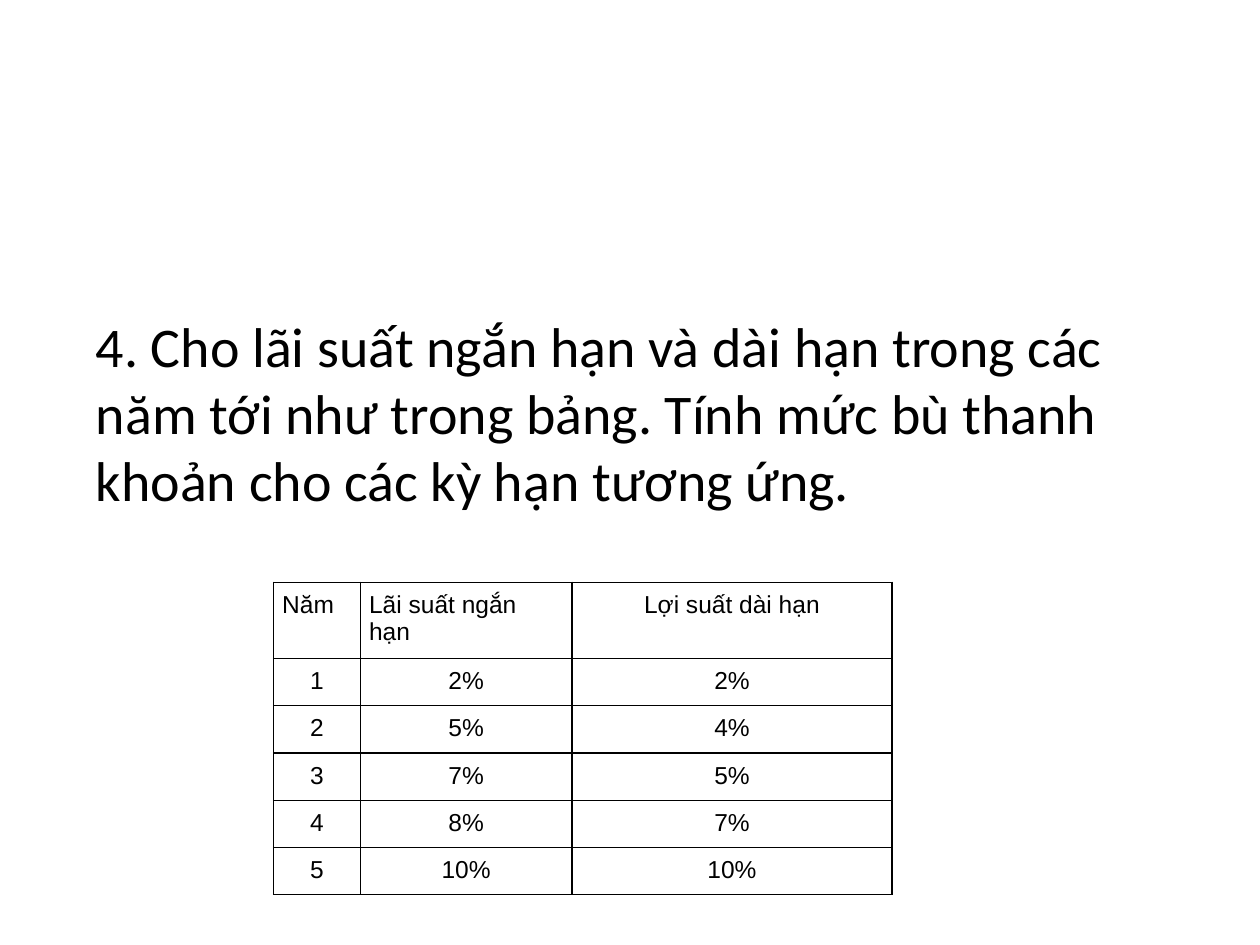
from lxml import etree
from pptx import Presentation
from pptx.dml.color import RGBColor
from pptx.enum.text import MSO_ANCHOR, PP_ALIGN
from pptx.oxml.ns import qn
from pptx.util import Inches, Pt

LEFT, CENTER = PP_ALIGN.LEFT, PP_ALIGN.CENTER
TOP = MSO_ANCHOR.TOP
THEME = {
    "ink": "000000",
    "question_font": "Calibri",
    "question_size": 32,
    "table_font": "Arial",
    "table_size": 14,
    "border": 0.75,
}


def write_text(frame, text, *, font, size, align=LEFT, inset_x=0.07, inset_y=0.07):
    frame.word_wrap = True
    frame.vertical_anchor = TOP
    frame.margin_left = frame.margin_right = Inches(inset_x)
    frame.margin_top = frame.margin_bottom = Inches(inset_y)
    para = frame.paragraphs[0]
    para.alignment = align
    span = para.add_run()
    span.text = text
    span.font.name = font
    span.font.size = Pt(size)
    span.font.color.rgb = RGBColor.from_string(THEME["ink"])


def style_cell(cell):
    cell.margin_left = cell.margin_right = Inches(0.07)
    cell.margin_top = cell.margin_bottom = Inches(0.07)
    properties = cell._tc.get_or_add_tcPr()
    for side in ("a:lnL", "a:lnR", "a:lnT", "a:lnB"):
        line = etree.SubElement(properties, qn(side), w=str(Pt(THEME["border"])))
        fill = etree.SubElement(line, qn("a:solidFill"))
        etree.SubElement(fill, qn("a:srgbClr"), val=THEME["ink"])
    cell.fill.background()


deck = Presentation()
deck.slide_width, deck.slide_height = Inches(10), Inches(7.5)
page = deck.slides.add_slide(deck.slide_layouts[6])

box = page.shapes.add_textbox(Inches(0.69), Inches(2.43), Inches(8.62), Inches(3.57))
write_text(
    box.text_frame,
    "4. Cho lãi suất ngắn hạn và dài hạn trong các năm tới như trong bảng. "
    "Tính mức bù thanh khoản cho các kỳ hạn tương ứng.",
    font=THEME["question_font"],
    size=THEME["question_size"],
    inset_y=0.04,
)

rates = [
    ("Năm", "Lãi suất ngắn hạn", "Lợi suất dài hạn"),
    ("1", "2%", "2%"),
    ("2", "5%", "4%"),
    ("3", "7%", "5%"),
    ("4", "8%", "7%"),
    ("5", "10%", "10%"),
]
column_widths = [0.69, 1.68, 2.54]
row_height = deck.slide_height // 20

table = page.shapes.add_table(
    len(rates), len(column_widths), Inches(2.17), Inches(4.62),
    Inches(sum(column_widths)), row_height * len(rates),
).table
table.first_row = table.horz_banding = False
for column, width in zip(table.columns, column_widths):
    column.width = Inches(width)

for row_index, row in enumerate(rates):
    table.rows[row_index].height = row_height
    for column_index, text in enumerate(row):
        cell = table.cell(row_index, column_index)
        is_left = row_index == 0 and column_index < 2
        write_text(
            cell.text_frame, text,
            font=THEME["table_font"], size=THEME["table_size"],
            align=LEFT if is_left else CENTER,
        )
        style_cell(cell)

deck.save("out.pptx")
